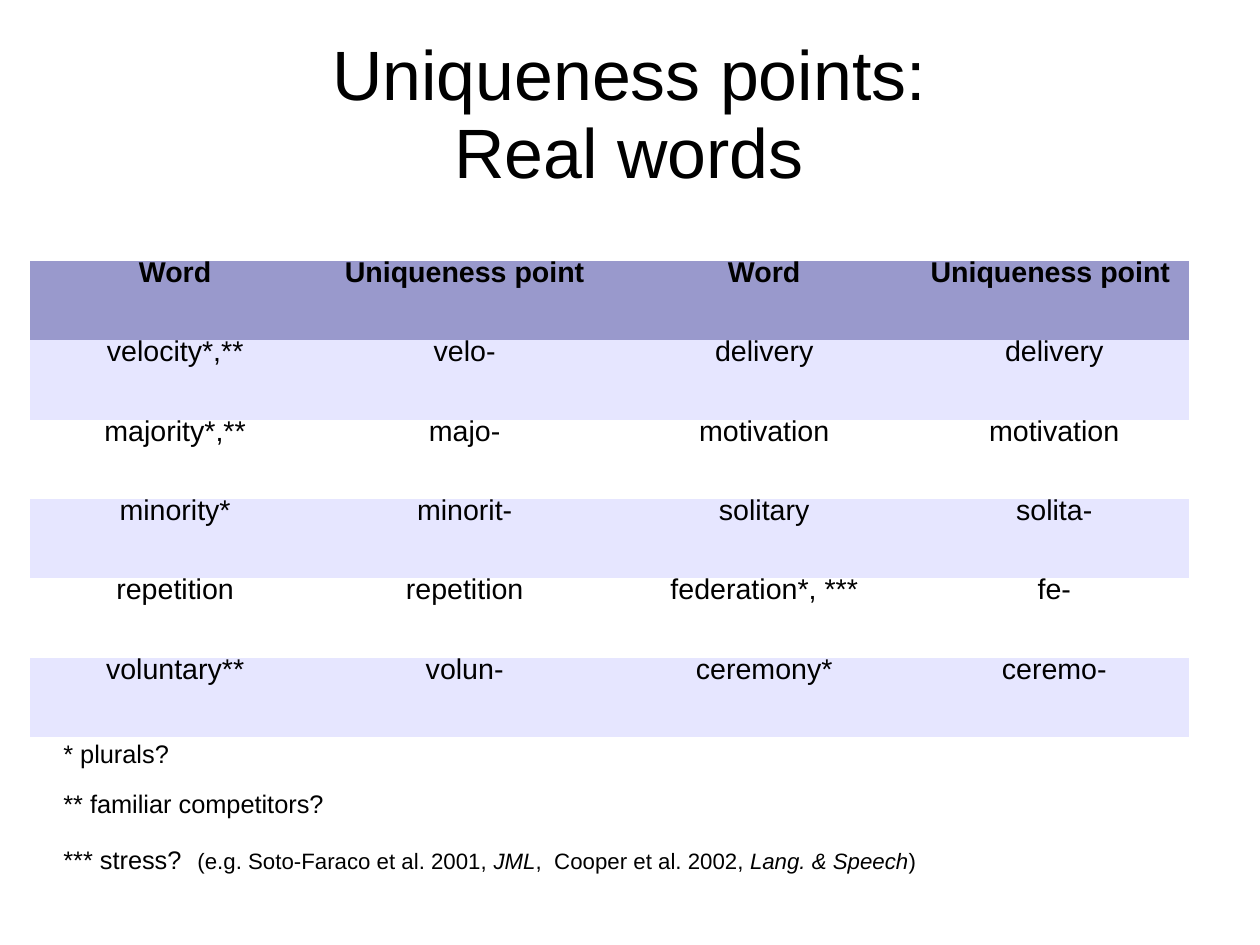
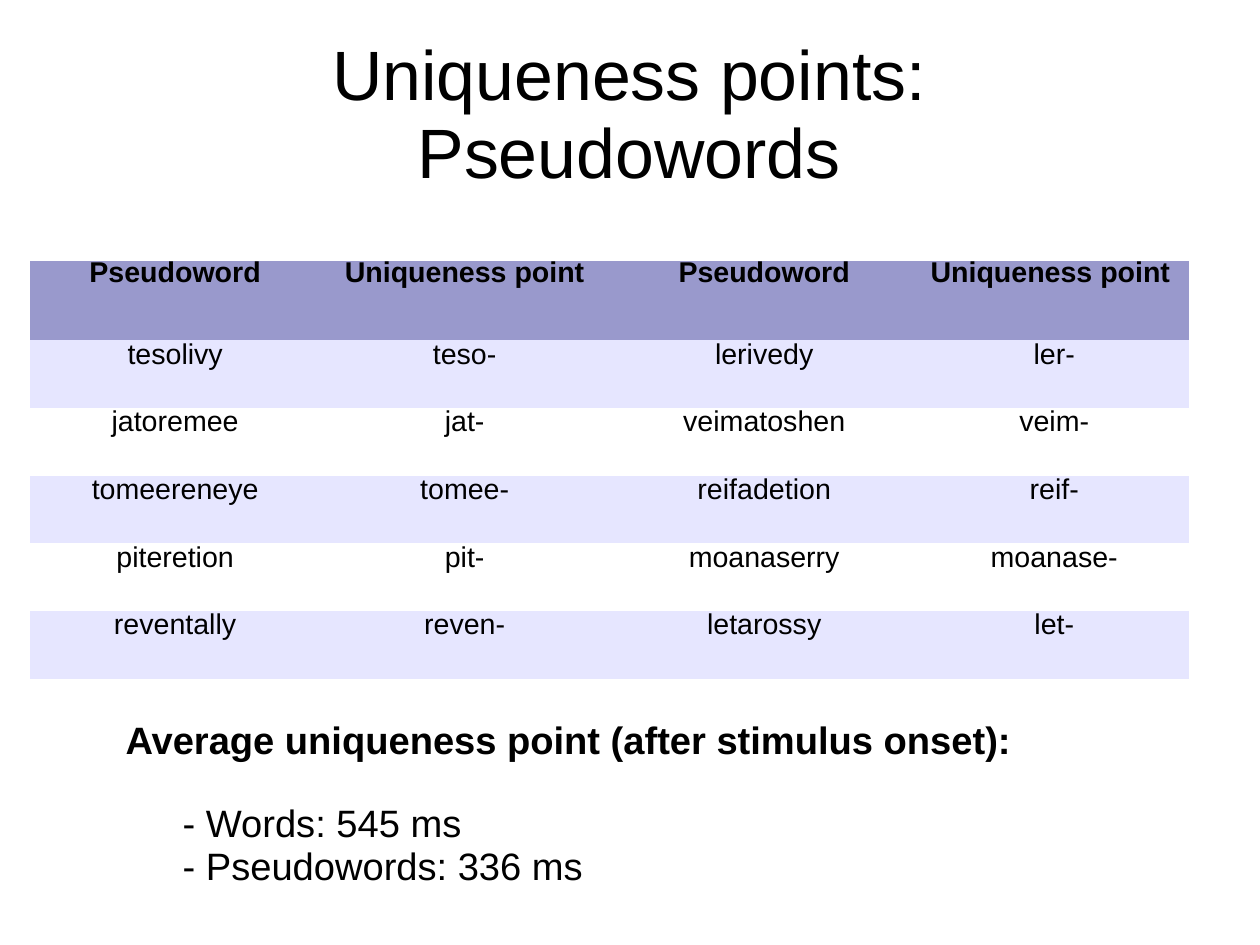
from pptx import Presentation
from pptx.dml.color import RGBColor
from pptx.enum.text import MSO_ANCHOR, MSO_AUTO_SIZE, PP_ALIGN
from pptx.oxml.ns import qn
from pptx.util import Cm, Inches, Pt

WIDTH, HEIGHT = Cm(28), Cm(21)
FONT = "Arial"
BLACK = RGBColor(0x00, 0x00, 0x00)
WHITE = RGBColor(0xFF, 0xFF, 0xFF)
HEADER_FILL = RGBColor(0x99, 0x99, 0xCC)
BAND_FILL = RGBColor(0xE6, 0xE6, 0xFF)
PLAIN_TABLE = "{2D5ABB26-0587-4C30-8999-92F81FD0307C}"

LINE_SPACING = 0.93
COLUMN_SHARES = (23, 22.96, 24.59, 21.45)
HEADER_SHARE = 8.4

REAL_WORDS = (
    ("Word", "Uniqueness point", "Word", "Uniqueness point"),
    ("velocity*,**", "velo-", "delivery", "delivery"),
    ("majority*,**", "majo-", "motivation", "motivation"),
    ("minority*", "minorit-", "solitary", "solita-"),
    ("repetition", "repetition", "federation*, ***", "fe-"),
    ("voluntary**", "volun-", "ceremony*", "ceremo-"),
)
PSEUDOWORDS = (
    ("Pseudoword", "Uniqueness point", "Pseudoword", "Uniqueness point"),
    ("tesolivy", "teso-", "lerivedy", "ler-"),
    ("jatoremee", "jat-", "veimatoshen", "veim-"),
    ("tomeereneye", "tomee-", "reifadetion", "reif-"),
    ("piteretion", "pit-", "moanaserry", "moanase-"),
    ("reventally", "reven-", "letarossy", "let-"),
)


def across(share):
    """Percent of the slide's width."""
    return int(WIDTH * share / 100)


def down(share):
    """Percent of the slide's height."""
    return int(HEIGHT * share / 100)


def add_run(p, text, size, bold=False, italic=False):
    r = p.add_run()
    r.text = text
    r.font.name, r.font.size = FONT, Pt(size)
    r.font.bold, r.font.italic = bold, italic
    r.font.color.rgb = BLACK


def add_titled_slide(prs, *lines):
    slide = prs.slides.add_slide(prs.slide_layouts[5])
    title = slide.shapes.title
    title.left, title.top = across(4.95), down(4.05)
    title.width, title.height = across(90), down(16.4)
    tf = title.text_frame
    tf.auto_size = MSO_AUTO_SIZE.NONE
    tf.vertical_anchor = MSO_ANCHOR.MIDDLE
    tf.margin_left = tf.margin_right = tf.margin_top = tf.margin_bottom = 0
    p = tf.paragraphs[0]
    p.alignment, p.line_spacing = PP_ALIGN.CENTER, LINE_SPACING
    for i, line in enumerate(lines):
        if i:
            p.add_line_break()
        add_run(p, line, 44)
    return slide


def add_word_table(slide, rows, row_share, body_spacing):
    heights = [down(HEADER_SHARE)] + [down(row_share)] * (len(rows) - 1)
    widths = [across(share) for share in COLUMN_SHARES]
    table = slide.shapes.add_table(
        len(rows), len(widths), across(2.4), down(27.6),
        sum(widths), sum(heights)).table
    table._tbl.tblPr.find(qn("a:tableStyleId")).text = PLAIN_TABLE
    for column, width in zip(table.columns, widths):
        column.width = width
    for i, (row, words) in enumerate(zip(table.rows, rows)):
        row.height = heights[i]
        header = i == 0
        for j, (cell, word) in enumerate(zip(row.cells, words)):
            cell.fill.solid()
            cell.fill.fore_color.rgb = (
                HEADER_FILL if header else BAND_FILL if i % 2 else WHITE)
            p = cell.text_frame.paragraphs[0]
            # The last heading nearly fills its column and starts at the left
            flush = header and j == len(words) - 1
            p.alignment = PP_ALIGN.LEFT if flush else PP_ALIGN.CENTER
            p.line_spacing = 0.62 if header else body_spacing
            add_run(p, word, 18, bold=header)


def add_text(slide, box, paragraphs, margins=(0, 0), after=0):
    """Each paragraph is a list of (text, size[, bold[, italic]]) runs."""
    left, top, width, height = box
    tf = slide.shapes.add_textbox(
        across(left), down(top), across(width), down(height)).text_frame
    tf.word_wrap = True
    tf.margin_left = tf.margin_right = Inches(margins[0])
    tf.margin_top = tf.margin_bottom = Inches(margins[1])
    for i, runs in enumerate(paragraphs):
        p = tf.add_paragraph() if i else tf.paragraphs[0]
        p.line_spacing, p.space_after = LINE_SPACING, Pt(after)
        for run in runs:
            add_run(p, *run)
    return tf.paragraphs


def main():
    prs = Presentation()
    prs.slide_width, prs.slide_height = WIDTH, HEIGHT

    # Real words, with footnotes below the table
    slide = add_titled_slide(prs, "Uniqueness points:", "Real words")
    add_word_table(slide, REAL_WORDS, HEADER_SHARE, 0.62)
    add_text(slide, (5.03, 78.35, 90, 18), [
        [("* plurals?", 16)],
        [("** familiar competitors?", 16)],
        [("*** stress? ", 16), (" ", 20),
         ("(e.g. Soto-Faraco et al. 2001, ", 14),
         ("JML", 14, False, True),
         (",  Cooper et al. 2002, ", 14),
         ("Lang. & Speech", 14, False, True),
         (")", 14)],
    ], after=14)

    # Pseudowords, with the averages below the table
    slide = add_titled_slide(prs, "Uniqueness points:", "Pseudowords")
    add_word_table(slide, PSEUDOWORDS, 7.17, 0.71)
    averages = add_text(slide, (9.07, 75.6, 79.4, 19.2), [
        [("Average uniqueness point (after stimulus onset):", 24, True)],
        [("- Words: 545 ms", 24)],
        [("- Pseudowords: 336 ms", 24)],
    ], margins=(0.1, 0.05))
    averages[1].space_before = Pt(26)
    for p in averages[1:]:
        p._p.get_or_add_pPr().set("marL", str(Inches(0.5)))

    prs.save("out.pptx")


if __name__ == "__main__":
    main()
